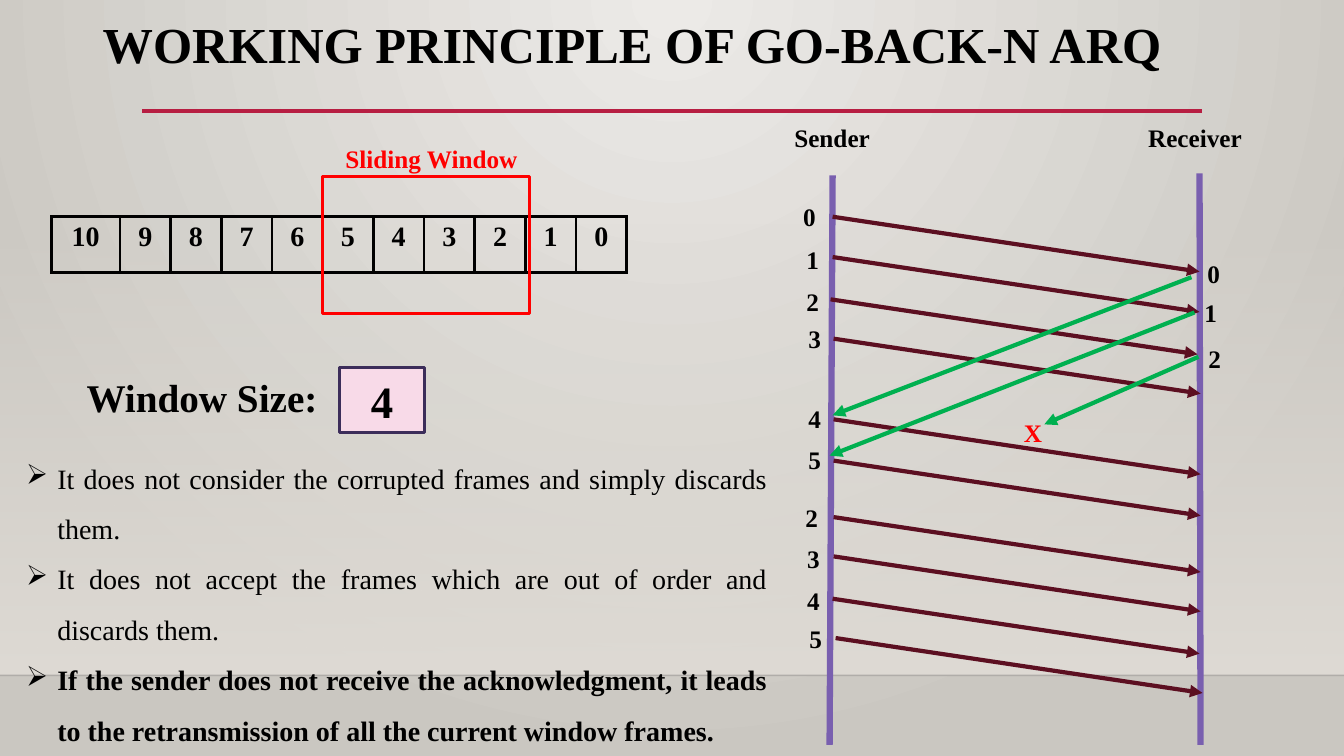
from dataclasses import dataclass

from lxml import etree
from pptx import Presentation
from pptx.dml.color import RGBColor
from pptx.enum.shapes import MSO_CONNECTOR, MSO_SHAPE
from pptx.enum.text import MSO_ANCHOR, PP_ALIGN
from pptx.oxml.ns import qn
from pptx.util import Inches, Pt

STRAIGHT = MSO_CONNECTOR.STRAIGHT
RECTANGLE = MSO_SHAPE.RECTANGLE
MIDDLE = MSO_ANCHOR.MIDDLE
LEFT, CENTER, JUSTIFY = PP_ALIGN.LEFT, PP_ALIGN.CENTER, PP_ALIGN.JUSTIFY

# The slide is a grid of square cells
COLUMNS, ROWS = 133.33, 75
CELL = Inches(0.1)


@dataclass(frozen=True)
class Theme:
    font: str = "Times New Roman"
    ink: str = "000000"
    alert: str = "FF0000"
    glow: str = "ECEAE7"
    edge: str = "CAC7C1"
    wall: str = "DFDBD5"
    floor_line: str = "000001"
    rule: str = "B71E42"
    lifeline: str = "795FAF"
    frame: str = "5C0F21"
    ack: str = "00B050"
    size_fill: str = "F8DAE8"
    size_line: str = "3C2D5A"
    title_pt: int = 36
    number_pt: int = 32
    heading_pt: int = 28
    body_pt: int = 20
    label_pt: int = 18


def grid(*lengths):
    return [round(length * CELL) for length in lengths]


def add_element(parent, tag, **attributes):
    return etree.SubElement(parent, qn(tag), attributes)


def set_alpha(parent, percent):
    color = next(parent.iter(qn("a:srgbClr")))
    add_element(color, "a:alpha", val=str(percent * 1000))


class SlideBuilder:
    def __init__(self, slide, theme):
        self.slide = slide
        self.theme = theme

    def gradient(self, fill, *colors):
        fill.gradient()
        for stop, color in zip(fill.gradient_stops, colors):
            stop.color.rgb = RGBColor.from_string(color)

    def background(self):
        self.gradient(self.slide.background.fill, self.theme.glow, self.theme.edge)
        gradient = next(self.slide.element.iter(qn("a:gradFill")))
        gradient.remove(gradient.find(qn("a:lin")))
        circle = add_element(gradient, "a:path", path="circle")
        add_element(circle, "a:fillToRect", l="43000", t="0", r="43000", b="100000")

    def set_text(self, frame, paragraphs, size, color, bold, align):
        frame.text = "\n".join(paragraphs)
        for paragraph in frame.paragraphs:
            paragraph.alignment = align
            for run in paragraph.runs:
                run.font.name = self.theme.font
                run.font.size = Pt(size)
                run.font.bold = bold
                run.font.color.rgb = RGBColor.from_string(color)

    def text(self, box, *paragraphs, size=None, color=None, bold=True, align=LEFT):
        frame = self.slide.shapes.add_textbox(*grid(*box)).text_frame
        frame.word_wrap = True
        self.set_text(frame, paragraphs, size or self.theme.label_pt,
                      color or self.theme.ink, bold, align)
        return frame

    def bullets(self, box, *points):
        frame = self.text(box, *points, size=self.theme.body_pt, bold=False, align=JUSTIFY)
        for paragraph in frame.paragraphs:
            paragraph.line_spacing = 1.5
            properties = paragraph._p.get_or_add_pPr()
            indent = grid(3.1)[0]
            properties.set("marL", str(indent))
            properties.set("indent", str(-indent))
            add_element(properties, "a:buChar", char="➢")
        return frame

    def rectangle(self, box, fill=None, line=None):
        shape = self.slide.shapes.add_shape(RECTANGLE, *grid(*box))
        shape.shadow.inherit = False
        if fill:
            shape.fill.solid()
            shape.fill.fore_color.rgb = RGBColor.from_string(fill)
        else:
            shape.fill.background()
        if line:
            shape.line.color.rgb = RGBColor.from_string(line)
            shape.line.width = Pt(2.25)
        else:
            shape.line.fill.background()
        return shape

    def line(self, start, end, color, width, arrow=False, alpha=None):
        connector = self.slide.shapes.add_connector(STRAIGHT, *grid(*start, *end))
        connector.line.color.rgb = RGBColor.from_string(color)
        connector.line.width = Pt(width)
        properties = connector._element.spPr
        if alpha:
            set_alpha(properties, alpha)
        if arrow:
            add_element(properties.find(qn("a:ln")), "a:tailEnd", type="triangle")
        add_element(properties, "a:effectLst")

    def table(self, box, widths, values):
        table = self.slide.shapes.add_table(1, len(values), *grid(*box)).table
        table.first_row = table.horz_banding = False
        for column, width in zip(table.columns, grid(*widths)):
            column.width = width
        for cell, value in zip(table.rows[0].cells, values):
            self.set_text(cell.text_frame, [value], self.theme.body_pt,
                          self.theme.ink, True, CENTER)
            properties = cell._tc.get_or_add_tcPr()
            for side in ("a:lnL", "a:lnR", "a:lnT", "a:lnB"):
                border = add_element(properties, side, w=str(Pt(2.25)))
                solid = add_element(border, "a:solidFill")
                add_element(solid, "a:srgbClr", val=self.theme.ink)
            cell.fill.background()


def main():
    presentation = Presentation()
    presentation.slide_width, presentation.slide_height = grid(COLUMNS, ROWS)
    theme = Theme()
    builder = SlideBuilder(presentation.slides.add_slide(presentation.slide_layouts[6]), theme)

    # Backdrop: wall fading in above the floor
    builder.background()
    wall = builder.rectangle((0, 22.1, COLUMNS, 44.9))
    builder.gradient(wall.fill, theme.wall, theme.wall)
    wall.fill.gradient_angle = 270
    set_alpha(wall._element.spPr, 0)
    builder.line((0, 67), (COLUMNS, 67), theme.floor_line, 1, alpha=20)

    # Title
    builder.line((14.1, 11), (119.2, 11), theme.rule, 2.5)
    title = builder.text((9.2, 1.5, 115, 8.5), "WORKING PRINCIPLE OF GO-BACK-N ARQ",
                         size=theme.title_pt)
    title.paragraphs[0].line_spacing = 0.9

    # Frame queue with the sliding window
    queue = [str(number) for number in range(10, -1, -1)]
    builder.table((5.1, 21.5, 57.1, 5.5), [6.8] + [5.03] * 10, queue)
    builder.rectangle((32, 17.5, 20.5, 13.6), line=theme.alert)
    builder.text((30.4, 13.7, 24.8, 4), "Sliding Window", color=theme.alert, align=CENTER)

    # Window size
    builder.text((7.6, 36.5, 29.8, 5.7), "Window Size:", size=theme.heading_pt)
    window_size = builder.rectangle((33.7, 36.5, 8.4, 6.4), theme.size_fill, theme.size_line)
    window_size.text_frame.vertical_anchor = MIDDLE
    builder.set_text(window_size.text_frame, ["4"], theme.number_pt, theme.ink, True, CENTER)

    # Sender and receiver lifelines
    builder.line((82.6, 17.4), (82.3, 73.9), theme.lifeline, 4.5)
    builder.line((119, 17.2), (119.1, 73.9), theme.lifeline, 4.5)
    builder.text((76.9, 11.6, 11.3, 4), "Sender", align=CENTER)
    builder.text((111.7, 11.6, 13.7, 4), "Receiver", align=CENTER)

    # Frames sent: number, label place, arrow start
    frames = [
        ("0", (78.7, 19.5), (82.6, 21.5)),
        ("1", (79, 23.7), (82.6, 25.5)),
        ("2", (79, 27.9), (82.4, 29.7)),
        ("3", (79.2, 31.6), (82.7, 33.6)),
        ("4", (79.2, 39.5), (82.7, 41.6)),
        ("5", (79.2, 43.6), (82.7, 45.7)),
        ("2", (78.9, 49.3), (82.7, 51.3)),
        ("3", (79.1, 53.4), (82.7, 55.2)),
        ("4", (79.1, 57.6), (82.6, 59.4)),
        ("5", (79.3, 61.3), (82.9, 63.3)),
    ]
    for number, place, (x, y) in frames:
        builder.line((x, y), (x + 36.4, y + 5.45), theme.frame, 3, arrow=True)
        builder.text((*place, 2.9, 4), number)

    # Acknowledgments: number, label place, arrow start and end
    acks = [
        ("0", (118.8, 25.1), (118.2, 27.5), (82.6, 41.2)),
        ("1", (118.5, 29), (118.5, 31), (82.3, 45.2)),
        ("2", (118.9, 33.6), (118.9, 35.4), (103.6, 42.1)),
    ]
    for number, place, start, end in acks:
        builder.line(start, end, theme.ack, 3, arrow=True)
        builder.text((*place, 2.9, 4), number)
    builder.text((100.6, 40.9, 3, 4), "X", color=theme.alert)

    # Rules of the protocol
    rules = builder.bullets(
        (1.6, 43.6, 75.5, 30.7),
        "It does not consider the corrupted frames and simply discards them.",
        "It does not accept the frames which are out of order and discards them.",
        "If the sender does not receive the acknowledgment, it leads to the "
        "retransmission of all the current window frames.",
    )
    rules.paragraphs[-1].runs[0].font.bold = True

    presentation.save("out.pptx")


if __name__ == "__main__":
    main()
